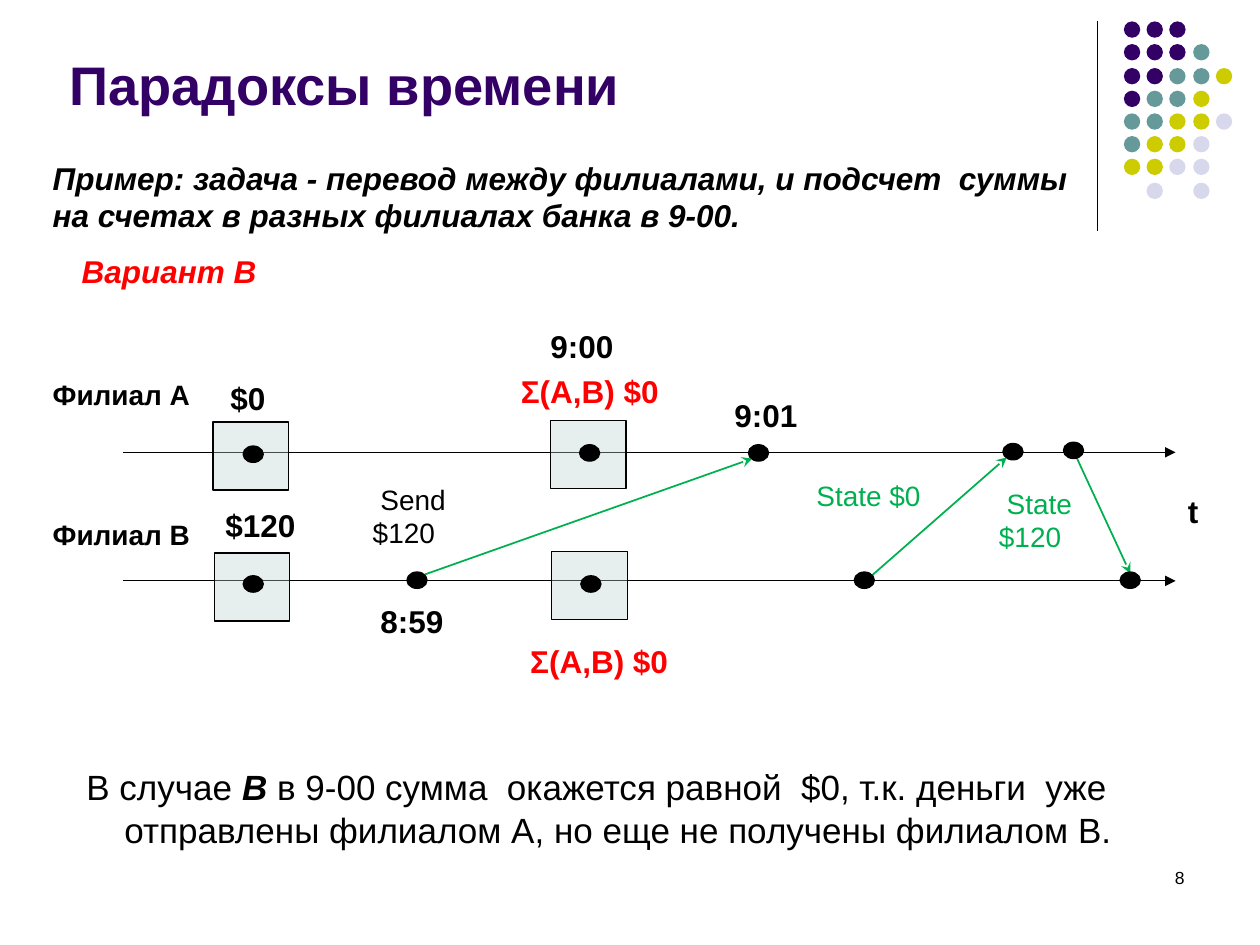
from dataclasses import dataclass

import pptx
import pptx.dml.color
import pptx.enum.shapes
import pptx.enum.text
import pptx.oxml
import pptx.oxml.ns
import pptx.util

EMU_PER_PX = 9144
FONT = "Arial"
BLACK, RED, GREEN, PURPLE = "000000", "FF0000", "00B050", "330066"
BOX_FILL, BOX_OPACITY = "BCD2D2", 36
ALIGN = pptx.enum.text.PP_ALIGN
SHAPE = pptx.enum.shapes.MSO_SHAPE


@dataclass
class Label:
    text: str
    left: int
    top: int
    width: int
    height: int = 40
    size: int = 18
    color: str = BLACK
    bold: bool = True
    italic: bool = False
    align: ALIGN = ALIGN.LEFT


@dataclass
class Arrow:
    start: tuple[int, int]
    end: tuple[int, int]
    color: str = BLACK
    weight: float = 0.75
    head: str = ""


DOT_COLORS = {"P": PURPLE, "T": "669999", "Y": "CCCC00", "L": "D8D8EC"}
DOT_ROWS = ["PPP", "PPPT", "PPTTY", "PTTY", "TTYYL", "TYYL", "YYLL", " L L"]
DOT_PITCH = 18.25

BRANCH_BOXES = [(169, 335), (437, 334), (170, 439), (438, 438)]
EVENTS = [
    (193, 354), (460, 353), (594, 353), (796, 352), (844, 351),
    (193, 457), (461, 457), (323, 454), (678, 454), (889, 454),
]
ARROWS = [
    Arrow((871, 17), (871, 183)),
    Arrow((98, 359), (933, 359), head="triangle"),
    Arrow((98, 461), (933, 461), head="triangle"),
    Arrow((337, 456), (597, 364), GREEN, 1, "stealth"),
    Arrow((686, 462), (799, 363), GREEN, 1, "stealth"),
    Arrow((853, 360), (897, 455), GREEN, 1, "stealth"),
]
LABELS = [
    Label("Пример: задача - перевод между филиалами, и подсчет  суммы "
          "на счетах в разных филиалах банка в 9-00.",
          32, 121, 858, 70, italic=True),
    Label("Вариант В", 55, 195, 163, color=RED, italic=True),
    Label("Филиал А", 32, 295, 138, 37, 16),
    Label("Филиал В", 32, 406, 138, 37, 16),
    Label("t", 933, 386, 35),
    Label("9:00", 427, 255, 83),
    Label("9:01", 573, 309, 81),
    Label("8:59", 292, 473, 74),
    Label("$0", 173, 296, 64),
    Label("$120", 169, 397, 118),
    Label("Σ(A,B) $0", 397, 290, 142, color=RED, align=ALIGN.CENTER),
    Label("Σ(A,B) $0", 411, 505, 136, color=RED),
    Label(" Send $120", 286, 378, 98, 64, 16, bold=False),
    Label(" State $0", 632, 375, 111, 37, 16, GREEN, False),
    Label(" State $120", 783, 381, 98, 64, 16, GREEN, False),
    Label("8", 717, 683, 233, 50, 10, bold=False, align=ALIGN.RIGHT),
]
CONCLUSION = [
    (" В случае ", False),
    ("B", True),
    (" в 9-00 сумма  окажется равной  $0, т.к. деньги  уже  "
     "отправлены филиалом А, но еще не получены филиалом В.", False),
]


def px(length: float) -> pptx.util.Emu:
    return pptx.util.Emu(round(length) * EMU_PER_PX)


def rgb(value: str) -> pptx.dml.color.RGBColor:
    return pptx.dml.color.RGBColor.from_string(value)


def format_run(run, size: int, color: str, bold: bool, italic: bool) -> None:
    run.font.name = FONT
    run.font.size = pptx.util.Pt(size)
    run.font.color.rgb = rgb(color)
    run.font.bold = bold
    run.font.italic = italic


def add_text_frame(slide, left: int, top: int, width: int, height: int):
    shape = slide.shapes.add_textbox(px(left), px(top), px(width), px(height))
    shape.text_frame.word_wrap = True
    return shape.text_frame


def add_label(slide, label: Label) -> None:
    text_frame = add_text_frame(slide, label.left, label.top, label.width, label.height)
    text_frame.text = label.text
    paragraph = text_frame.paragraphs[0]
    paragraph.alignment = label.align
    format_run(paragraph.runs[0], label.size, label.color, label.bold, label.italic)


def add_conclusion(slide) -> None:
    paragraph = add_text_frame(slide, 51, 603, 900, 78).paragraphs[0]
    properties = paragraph._p.get_or_add_pPr()
    properties.set("marL", str(px(38)))
    properties.set("indent", str(-px(38)))
    for text, emphasis in CONCLUSION:
        run = paragraph.add_run()
        run.text = text
        format_run(run, 20, BLACK, emphasis, emphasis)


def add_filled(slide, kind: SHAPE, left: float, top: float, width: int, height: int,
               fill: str, outlined: bool = True):
    shape = slide.shapes.add_shape(kind, px(left), px(top), px(width), px(height))
    shape.shadow.inherit = False
    shape.fill.solid()
    shape.fill.fore_color.rgb = rgb(fill)
    if outlined:
        shape.line.color.rgb = rgb(BLACK)
        shape.line.width = pptx.util.Pt(0.75)
    else:
        shape.line.fill.background()
    return shape


def add_branch_box(slide, left: int, top: int) -> None:
    shape = add_filled(slide, SHAPE.RECTANGLE, left, top, 60, 54, BOX_FILL)
    color = shape._element.spPr.find(".//" + pptx.oxml.ns.qn("a:srgbClr"))
    color.append(pptx.oxml.parse_xml(
        f'<a:alpha {pptx.oxml.ns.nsdecls("a")} val="{BOX_OPACITY * 1000}"/>'))


def add_arrow(slide, arrow: Arrow) -> None:
    connector = slide.shapes.add_connector(
        pptx.enum.shapes.MSO_CONNECTOR.STRAIGHT,
        *(px(value) for value in arrow.start + arrow.end))
    connector.line.color.rgb = rgb(arrow.color)
    connector.line.width = pptx.util.Pt(arrow.weight)
    namespace = pptx.oxml.ns.nsdecls("a")
    if arrow.head:
        connector.line._get_or_add_ln().append(pptx.oxml.parse_xml(
            f'<a:tailEnd {namespace} type="{arrow.head}"/>'))
    connector._element.spPr.append(pptx.oxml.parse_xml(f"<a:effectLst {namespace}/>"))


def add_dot_pattern(slide) -> None:
    for row, letters in enumerate(DOT_ROWS):
        for column, letter in enumerate(letters):
            if letter in DOT_COLORS:
                add_filled(slide, SHAPE.OVAL, 892 + column * DOT_PITCH,
                           17 + row * DOT_PITCH, 13, 13, DOT_COLORS[letter], False)


def format_title(slide) -> None:
    title = slide.shapes.title
    title.left, title.top, title.width, title.height = px(45), px(43), px(529), px(54)
    text_frame = title.text_frame
    text_frame.text = "Парадоксы времени"
    text_frame.auto_size = pptx.enum.text.MSO_AUTO_SIZE.NONE
    text_frame.vertical_anchor = pptx.enum.text.MSO_ANCHOR.BOTTOM
    paragraph = text_frame.paragraphs[0]
    paragraph.alignment = ALIGN.LEFT
    format_run(paragraph.runs[0], 31, PURPLE, True, False)


def main() -> None:
    presentation = pptx.Presentation()
    presentation.slide_width, presentation.slide_height = px(1000), px(750)
    slide = presentation.slides.add_slide(presentation.slide_layouts[5])
    format_title(slide)
    add_dot_pattern(slide)
    for arrow in ARROWS:
        add_arrow(slide, arrow)
    for left, top in BRANCH_BOXES:
        add_branch_box(slide, left, top)
    for left, top in EVENTS:
        add_filled(slide, SHAPE.OVAL, left, top, 16, 13, BLACK)
    for label in LABELS:
        add_label(slide, label)
    add_conclusion(slide)
    presentation.save("out.pptx")


if __name__ == "__main__":
    main()
